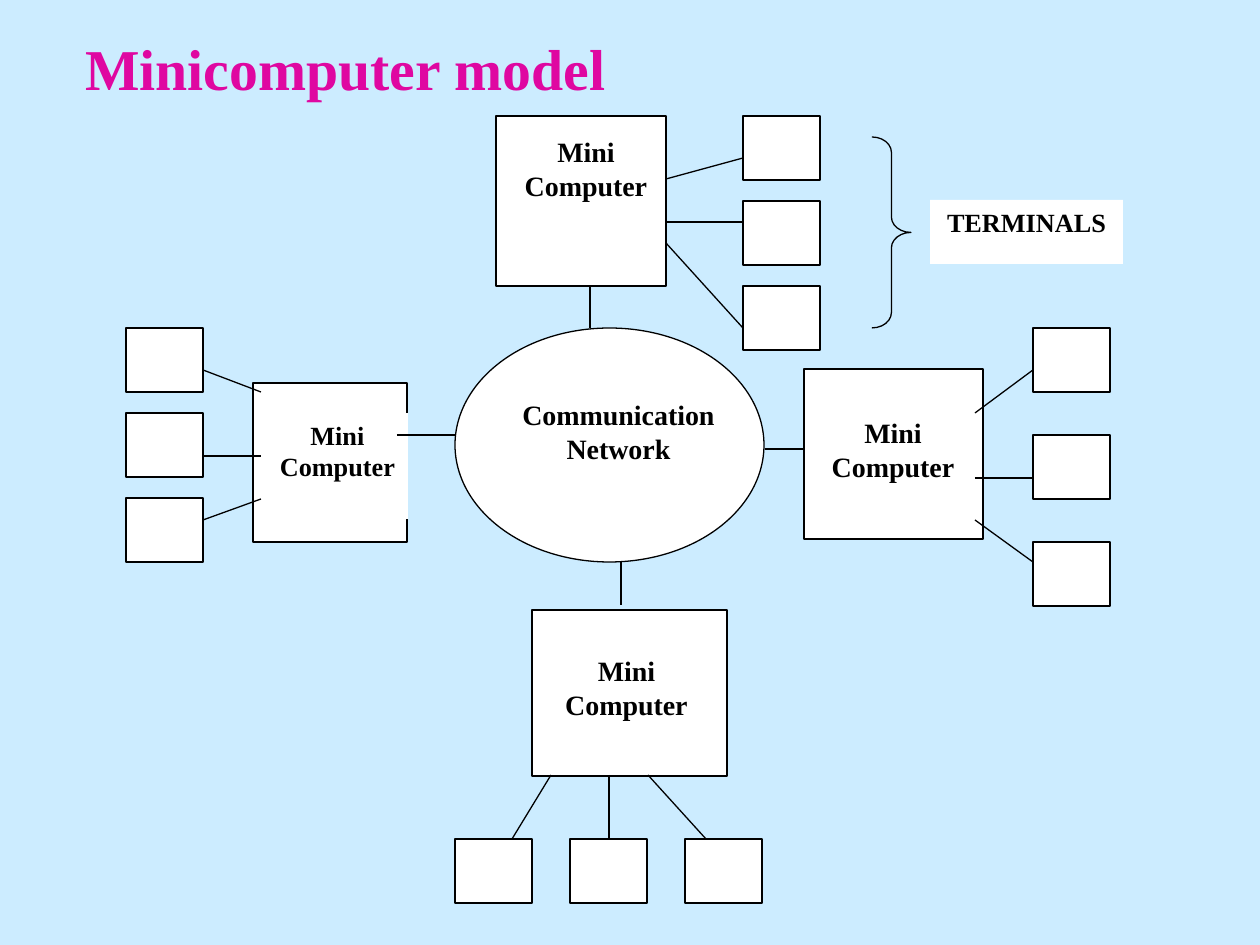
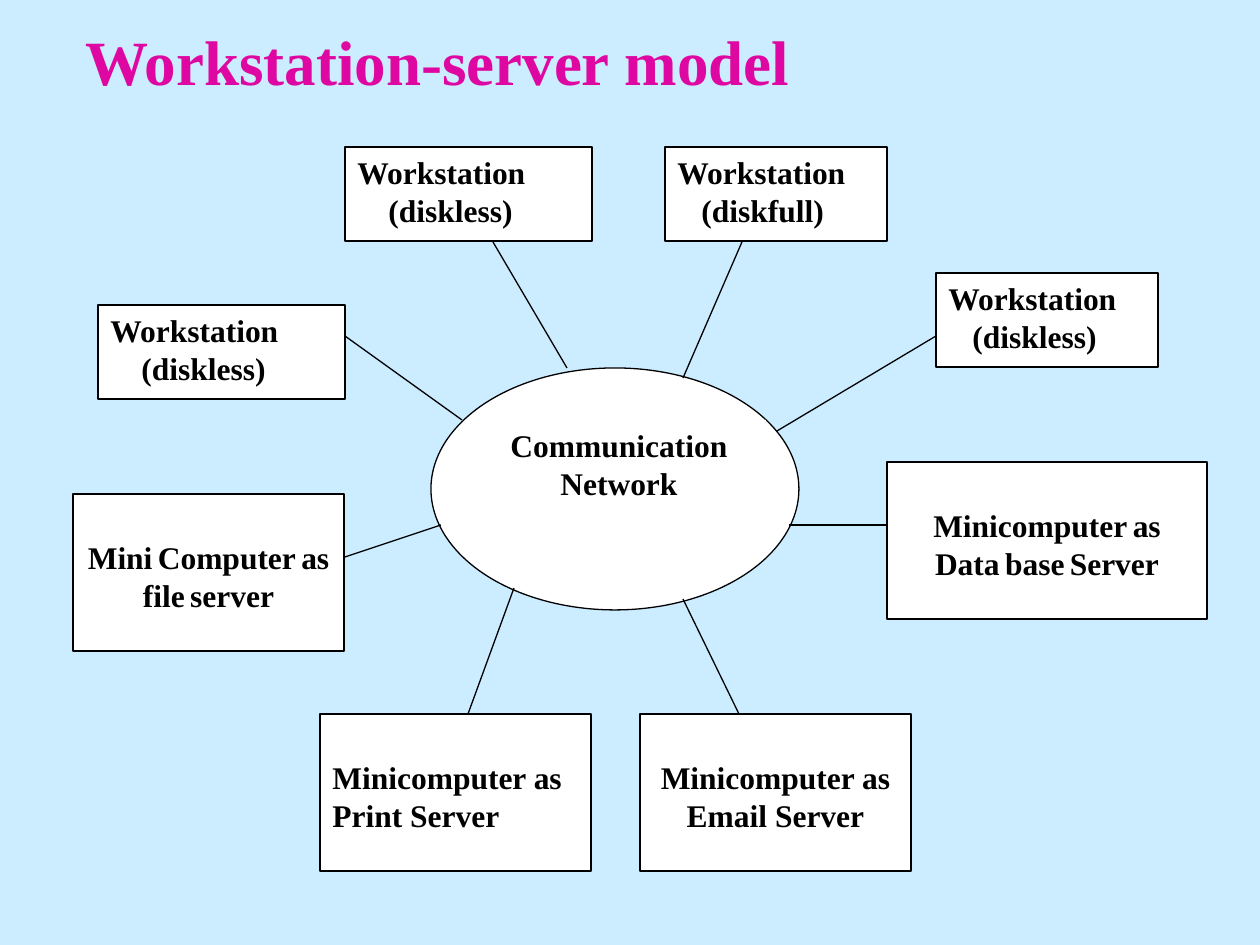
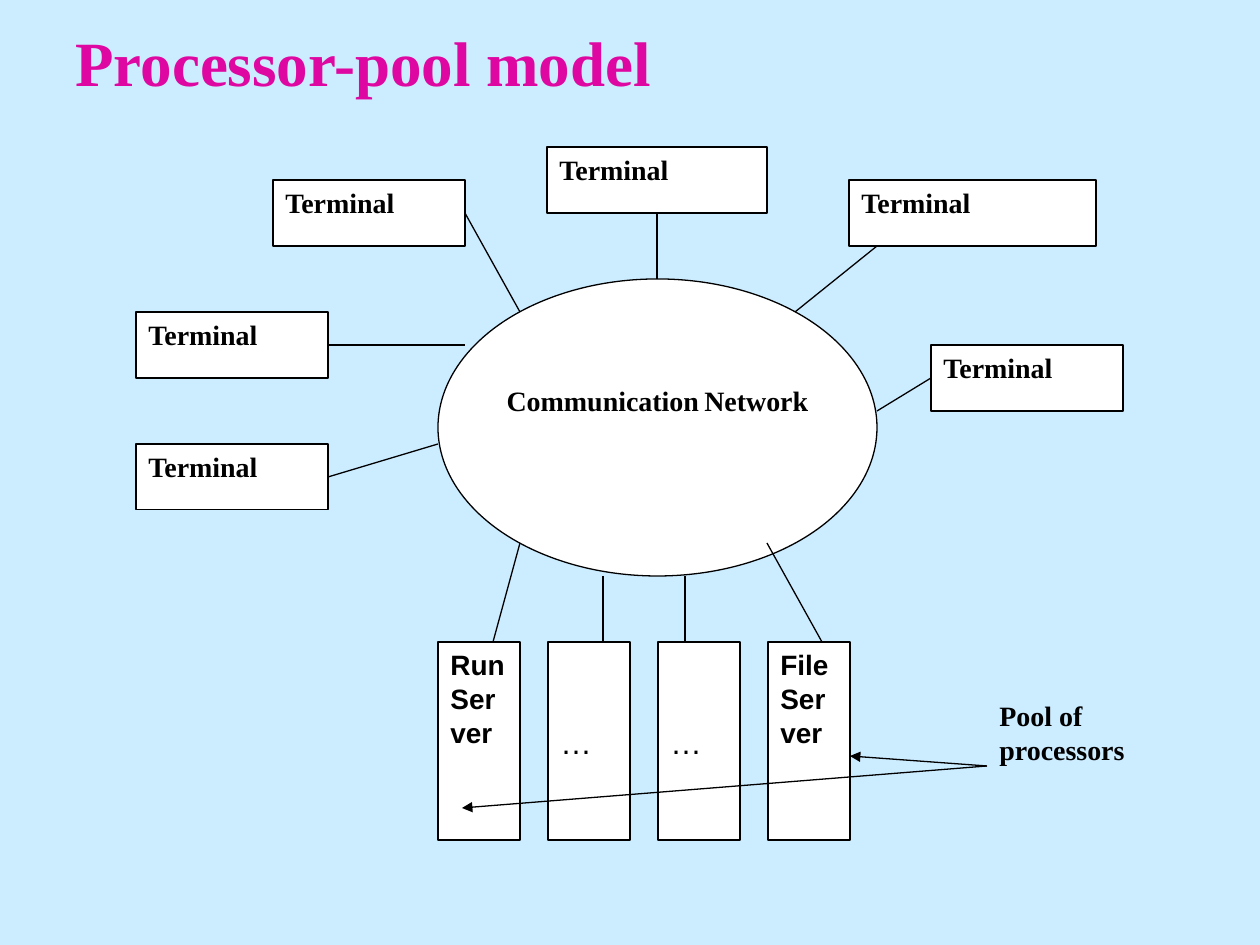
import lxml.etree
import pptx
import pptx.util
import pptx.dml.color
import pptx.enum.shapes
import pptx.enum.text
import pptx.oxml.ns

SCALE = 914400 / 126
COLORS = {"page": "CCECFF", "paper": "FFFFFF", "ink": "000000", "title": "DF07A1"}
SERIF, SANS = "Times New Roman", "Arial"
SHAPE = pptx.enum.shapes.MSO_SHAPE
ALIGN = pptx.enum.text.PP_ALIGN
ANCHOR = pptx.enum.text.MSO_ANCHOR


def px(n):
    """Turn pixels into EMU."""
    return pptx.util.Emu(round(n * SCALE))


def rgb(name):
    """Look up a palette colour."""
    return pptx.dml.color.RGBColor.from_string(COLORS[name])


def add_run(p, text, size, font, color, bold):
    """Append one formatted run."""
    r = p.add_run()
    r.text = text
    r.font.size = pptx.util.Pt(size)
    r.font.name = font
    r.font.bold = bold
    r.font.color.rgb = rgb(color)


def write(sp, lines, size=16, align=ALIGN.LEFT, font=SERIF, color="ink", bold=True,
          gap=None, top=6, indent=0, anchor=ANCHOR.TOP):
    """Fill a shape with paragraphs; gap is the size of the spaces between words."""
    tf = sp.text_frame
    tf.word_wrap = True
    tf.auto_size = pptx.enum.text.MSO_AUTO_SIZE.NONE
    tf.vertical_anchor = anchor
    tf.margin_left = tf.margin_right = px(12.6)
    tf.margin_top, tf.margin_bottom = px(top), px(6)
    for i, line in enumerate(lines):
        p = tf.add_paragraph() if i else tf.paragraphs[0]
        p.alignment = align
        if i and indent:
            p._p.get_or_add_pPr().set("marL", str(px(indent)))
        for j, word in enumerate(line.split(" ") if gap else [line]):
            if j:
                add_run(p, " ", gap, font, color, bold)
            add_run(p, word, size, font, color, bold)


def add_box(s, box, lines=(), kind=SHAPE.RECTANGLE, border=True, fill=True, **style):
    """Draw a shape with optional border, fill and text."""
    sp = s.shapes.add_shape(kind, *map(px, box))
    sp.shadow.inherit = False
    if fill:
        sp.fill.solid()
        sp.fill.fore_color.rgb = rgb("paper")
    else:
        sp.fill.background()
    if border:
        sp.line.color.rgb = rgb("ink")
        sp.line.width = pptx.util.Pt(0.75)
    else:
        sp.line.fill.background()
    if lines:
        write(sp, lines, **style)
    return sp


def add_line(s, ends, origin=(0, 0), arrow=False):
    """Draw a straight line, given its ends relative to an origin."""
    x, y = origin
    x1, y1, x2, y2 = ends
    c = s.shapes.add_connector(pptx.enum.shapes.MSO_CONNECTOR.STRAIGHT,
                               px(x + x1), px(y + y1), px(x + x2), px(y + y2))
    c.line.color.rgb = rgb("ink")
    c.line.width = pptx.util.Pt(0.75)
    qn = pptx.oxml.ns.qn
    props = c._element.spPr
    if arrow:
        lxml.etree.SubElement(props.find(qn("a:ln")), qn("a:tailEnd"), type="triangle")
    lxml.etree.SubElement(props, qn("a:effectLst"))


def add_slide(prs, title, box, size=36, anchor=ANCHOR.BOTTOM):
    """Add a blank slide with the shared background and title style."""
    s = prs.slides.add_slide(prs.slide_layouts[6])
    s.background.fill.solid()
    s.background.fill.fore_color.rgb = rgb("page")
    sp = s.shapes.add_textbox(*map(px, box))
    write(sp, [title], size=size, align=ALIGN.JUSTIFY, color="title", anchor=anchor)
    return s


def add_labelled(s, box, inner, lines, kind=SHAPE.RECTANGLE, **style):
    """Draw a bordered shape holding a borderless label placed relative to it."""
    x, y = box[:2]
    dx, dy, w, h = inner
    add_box(s, box, kind=kind)
    add_box(s, (x + dx, y + dy, w, h), lines, border=False, align=ALIGN.CENTER, **style)


def add_cluster(s, box, inner, first, step, links, size=16):
    """Draw a minicomputer, its three terminals and its links."""
    x, y = box[:2]
    add_labelled(s, box, inner, ["Mini", "Computer"], size=size)
    for i in range(3):
        add_box(s, (x + first[0] + i * step[0], y + first[1] + i * step[1], 77, 64))
    for ends in links:
        add_line(s, ends, (x, y))


def minicomputer_slide(prs):
    """Build the minicomputer model."""
    s = add_slide(prs, "Minicomputer model", (73, 31, 1134, 73), 33, ANCHOR.MIDDLE)
    add_labelled(s, (455, 328, 309, 234), (38, 64, 251, 107), ["Communication Network"],
                 SHAPE.OVAL)
    add_cluster(s, (253, 383, 154, 159), (14, 30, 141, 106), (-127, -55), (0, 85),
                [(-50, -13, 8, 9), (-50, 73, 8, 73), (-50, 137, 8, 116),
                 (144, 52, 202, 52)], 15)
    add_cluster(s, (496, 116, 170, 170), (13, 13, 154, 120), (247, 0), (0, 85),
                [(170, 63, 247, 42), (170, 106, 247, 106), (170, 127, 247, 212),
                 (94, 170, 94, 212)])
    add_cluster(s, (804, 369, 179, 170), (12, 41, 154, 89), (229, -41), (0, 107),
                [(171, 44, 229, 1), (171, 109, 229, 109), (171, 151, 229, 193),
                 (-39, 80, 0, 80)])
    add_cluster(s, (532, 610, 195, 166), (19, 38, 151, 86), (-77, 229), (115, 0),
                [(19, 165, -20, 229), (77, 165, 77, 229), (116, 165, 174, 229),
                 (89, -48, 89, -5)])
    add_box(s, (930, 200, 193, 64), ["TERMINALS"], border=False, size=15,
            align=ALIGN.CENTER)
    brace = add_box(s, (872, 137, 39, 191), kind=SHAPE.RIGHT_BRACE, fill=False)
    brace.adjustments[0], brace.adjustments[1] = 0.395, 0.5


def workstation_slide(prs):
    """Build the workstation-server model."""
    s = add_slide(prs, "Workstation-server model", (73, 31, 1134, 73))
    add_labelled(s, (431, 368, 368, 242), (41, 52, 294, 136), ["Communication Network"],
                 SHAPE.OVAL, size=18, gap=12)
    servers = [((73, 494, 271), "Mini Computer as file server", ALIGN.CENTER, 12),
               ((320, 714, 271), "Minicomputer as Print Server", ALIGN.LEFT, None),
               ((640, 714, 271), "Minicomputer as Email Server", ALIGN.CENTER, None),
               ((887, 462, 320), "Minicomputer as Data base Server", ALIGN.CENTER, 12)]
    for box, text, align, gap in servers:
        add_box(s, (*box, 157), [text], size=18, align=align, gap=gap, top=44)
    stations = [((98, 305, 247), "(diskless)", 31), ((345, 147, 247), "(diskless)", 31),
                ((665, 147, 222), "(diskfull)", 24), ((936, 273, 222), "(diskless)", 24)]
    for box, disk, indent in stations:
        add_box(s, (*box, 94), ["Workstation", disk], size=18, indent=indent)
    for ends in [(441, 525, 345, 557), (514, 588, 468, 714), (683, 599, 739, 714),
                 (789, 525, 887, 525), (345, 336, 462, 420), (493, 242, 567, 368),
                 (742, 242, 683, 378), (936, 336, 777, 431)]:
        add_line(s, ends)


def add_pool(s, box, pitch):
    """Draw the row of pooled processors from the first box on."""
    x, y, w, h = box
    for i, text in enumerate(["Run Server", "…", "…", "File Server"]):
        dots = text == "…"
        add_box(s, (x + i * pitch, y, w, h), [text], font=SANS, bold=not dots,
                size=18 if dots else 16, top=81 if dots else 6)


def processor_slide(prs):
    """Build the processor-pool model."""
    s = add_slide(prs, "Processor-pool model", (63, 21, 1134, 84))
    add_labelled(s, (438, 279, 439, 297), (55, 99, 329, 132), ["Communication Network"],
                 SHAPE.OVAL, gap=12)
    add_pool(s, (438, 642, 82, 198), 110)
    for x, y, w in [(136, 444, 192), (136, 312, 192), (273, 180, 192), (547, 147, 220),
                    (849, 180, 247), (931, 345, 192)]:
        add_box(s, (x, y, w, 66), ["Terminal"])
    for ends in [(520, 543, 493, 642), (603, 576, 603, 642), (685, 576, 685, 642),
                 (767, 543, 822, 642), (328, 477, 438, 444), (328, 345, 465, 345),
                 (465, 213, 520, 312), (657, 213, 657, 279), (877, 246, 795, 312),
                 (931, 378, 877, 411)]:
        add_line(s, ends)
    for tip in [(850, 756), (462, 808)]:
        add_line(s, (987, 766, *tip), arrow=True)
    write(s.shapes.add_textbox(*map(px, (987, 693, 221, 81))), ["Pool of processors"])


def main():
    """Build and save the presentation."""
    prs = pptx.Presentation()
    prs.slide_width, prs.slide_height = px(1260), px(945)
    minicomputer_slide(prs)
    workstation_slide(prs)
    processor_slide(prs)
    prs.save("out.pptx")


main()
